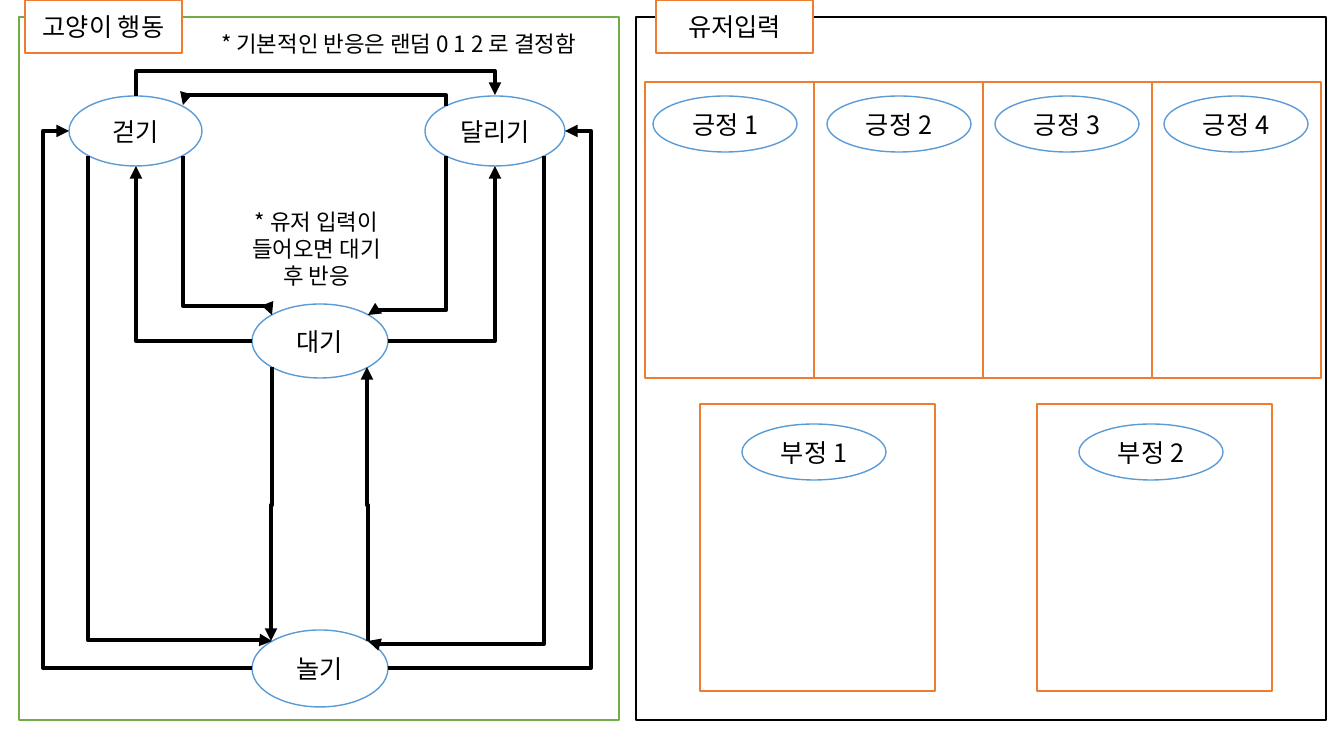
import dataclasses
import math

import lxml.etree
import pptx
import pptx.dml.color
import pptx.enum.shapes
import pptx.enum.text
import pptx.oxml.ns
import pptx.util

PX = 914400 / 100.8
SHAPES = pptx.enum.shapes.MSO_SHAPE


@dataclasses.dataclass(frozen=True)
class Theme:
    """Colours, type sizes and line widths of the slide."""
    font: str = "Noto Sans CJK KR"
    ink: str = "000000"
    paper: str = "FFFFFF"
    green: str = "70AD47"
    blue: str = "5B9BD5"
    orange: str = "ED7D31"
    label: int = 18
    note: int = 16
    outline: int = 1
    arrow: int = 3


THEME = Theme()
FRAME_FORMAT = {
    "word_wrap": True,
    "vertical_anchor": pptx.enum.text.MSO_ANCHOR.MIDDLE,
}
SITES = {
    "top": (0, -1), "bottom": (0, 1), "left": (-1, 0), "right": (1, 0),
    **{f"{row} {column}": (x * math.sqrt(0.5), y * math.sqrt(0.5))
       for row, y in (("top", -1), ("bottom", 1))
       for column, x in (("left", -1), ("right", 1))},
}
STATES = {
    "대기": (233, 287, 136, 74),
    "걷기": (50, 79, 133, 70),
    "달리기": (406, 79, 140, 70),
    "놀기": (233, 613, 136, 77),
}
ROUTES = [
    ("대기", "right", "달리기", "bottom", None),
    ("달리기", "top left", "걷기", "top right", 78),
    ("걷기", "top", "달리기", "top", 54),
    ("달리기", "bottom left", "대기", "top right", 293),
    ("대기", "left", "걷기", "bottom", None),
    ("걷기", "bottom right", "대기", "top left", 289),
    ("대기", "bottom left", "놀기", "top left", 488),
    ("놀기", "top right", "대기", "bottom right", 488),
    ("달리기", "bottom right", "놀기", "top right", 627),
    ("걷기", "bottom left", "놀기", "top left", 623),
    ("놀기", "right", "달리기", "right", 572),
    ("놀기", "left", "걷기", "left", 24),
]
NOTES = [
    ("* 기본적인 반응은 랜덤 0 1 2 로 결정함", (168, 7, 423, 39)),
    ("* 유저 입력이 들어오면 대기 후 반응", (217, 181, 161, 101)),
]


def emu(*lengths):
    """Turn px lengths into EMU."""
    return [pptx.util.Emu(round(length * PX)) for length in lengths]


def rgb(colour):
    """Return a colour object for a hex string."""
    return pptx.dml.color.RGBColor.from_string(colour)


def inside(box, part):
    """Move a part from box coordinates to slide coordinates."""
    return (box[0] + part[0], box[1] + part[1], *part[2:])


def write(shape, text, size):
    """Put one centred paragraph into a shape."""
    for name, value in FRAME_FORMAT.items():
        setattr(shape.text_frame, name, value)
    paragraph = shape.text_frame.paragraphs[0]
    paragraph.alignment = pptx.enum.text.PP_ALIGN.CENTER
    run = paragraph.add_run()
    run.text = text
    for name, value in {"name": THEME.font, "size": pptx.util.Pt(size)}.items():
        setattr(run.font, name, value)
    run.font.color.rgb = rgb(THEME.ink)
    east_asian = lxml.etree.SubElement(run.font._element, pptx.oxml.ns.qn("a:ea"))
    east_asian.set("typeface", THEME.font)


def add_outline(slide, kind, box, colour, text=None, filled=True):
    """Add an outlined shape with an optional label."""
    shape = slide.shapes.add_shape(kind, *emu(*box))
    shape.shadow.inherit = False
    if filled:
        shape.fill.solid()
        shape.fill.fore_color.rgb = rgb(THEME.paper)
    else:
        shape.fill.background()
    shape.line.color.rgb = rgb(colour)
    shape.line.width = pptx.util.Pt(THEME.outline)
    if text:
        write(shape, text, THEME.label)


def add_note(slide, text, box):
    """Add a free-standing remark."""
    write(slide.shapes.add_textbox(*emu(*box)), text, THEME.note)


def site_point(box, site):
    """Return the px point of a named site on an ellipse."""
    left, top, width, height = box
    across, down = SITES[site]
    return (round(left + width / 2 * (1 + across)),
            round(top + height / 2 * (1 + down)))


def add_arrow(slide, start, end, sideways, bend):
    """Add an elbow arrow whose middle leg lies at bend, or with one corner."""
    run = end[0] - start[0] or -1
    rise = end[1] - start[1] or -1
    middle = (start[0] + run / 2, start[1] + rise / 2)
    along, across = (run, rise) if sideways else (rise, -run)
    connector = slide.shapes.add_connector(
        pptx.enum.shapes.MSO_CONNECTOR.ELBOW,
        *emu(middle[0] - along / 2, middle[1] - across / 2,
             middle[0] + along / 2, middle[1] + across / 2))
    connector.line.color.rgb = rgb(THEME.ink)
    connector.line.width = pptx.util.Pt(THEME.arrow)
    qn = pptx.oxml.ns.qn
    properties = connector._element.spPr
    if not sideways:
        properties.find(qn("a:xfrm")).set("rot", "5400000")
    geometry = properties.find(qn("a:prstGeom"))
    if bend is None:
        geometry.set("prst", "bentConnector2")
    else:
        share = (bend - start[0 if sideways else 1]) / along
        guide = lxml.etree.SubElement(geometry.find(qn("a:avLst")), qn("a:gd"))
        guide.set("name", "adj1")
        guide.set("fmla", f"val {round(share * 100000)}")
    head = lxml.etree.SubElement(properties.find(qn("a:ln")), qn("a:tailEnd"))
    head.set("type", "triangle")
    lxml.etree.SubElement(properties, qn("a:effectLst"))


def add_panel(slide, box, colour, tab, tab_left):
    """Add a panel frame with its heading tab."""
    add_outline(slide, SHAPES.RECTANGLE, box, colour)
    add_outline(slide, SHAPES.RECTANGLE, inside(box, (tab_left, -17, 157, 53)),
                THEME.orange, tab)


def add_behaviour(slide, box):
    """Add the state diagram of the cat's behaviour."""
    add_panel(slide, box, THEME.green, "고양이 행동", 6)
    states = {name: inside(box, part) for name, part in STATES.items()}
    for name, place in states.items():
        add_outline(slide, SHAPES.OVAL, place, THEME.blue, name)
    for source, leaving, target, entering, bend in ROUTES:
        sideways = leaving in ("left", "right")
        if bend is not None:
            bend += box[0 if sideways else 1]
        add_arrow(slide, site_point(states[source], leaving),
                  site_point(states[target], entering), sideways, bend)
    for text, part in NOTES:
        add_note(slide, text, inside(box, part))


def add_card(slide, box, text, inset):
    """Add an empty reaction card with its oval label."""
    add_outline(slide, SHAPES.RECTANGLE, box, THEME.orange, filled=False)
    add_outline(slide, SHAPES.OVAL, inside(box, (*inset, 144, 56)), THEME.blue, text)


def add_user_input(slide, box):
    """Add the panel of positive and negative user input."""
    add_panel(slide, box, THEME.ink, "유저입력", 20)
    for index, inset in enumerate((8, 13, 12, 12)):
        card = inside(box, (9 + 169 * index, 65, 169, 296))
        add_card(slide, card, f"긍정 {index + 1}", (inset, 14))
    for index in range(2):
        card = inside(box, (64 + 337 * index, 387, 235, 287))
        add_card(slide, card, f"부정 {index + 1}", (42, 20))


def main():
    """Build and save the slide."""
    presentation = pptx.Presentation()
    presentation.slide_width, presentation.slide_height = emu(1344, 756)
    slide = presentation.slides.add_slide(presentation.slide_layouts[6])
    add_behaviour(slide, (19, 17, 600, 703))
    add_user_input(slide, (636, 17, 690, 703))
    presentation.save("out.pptx")


if __name__ == "__main__":
    main()
